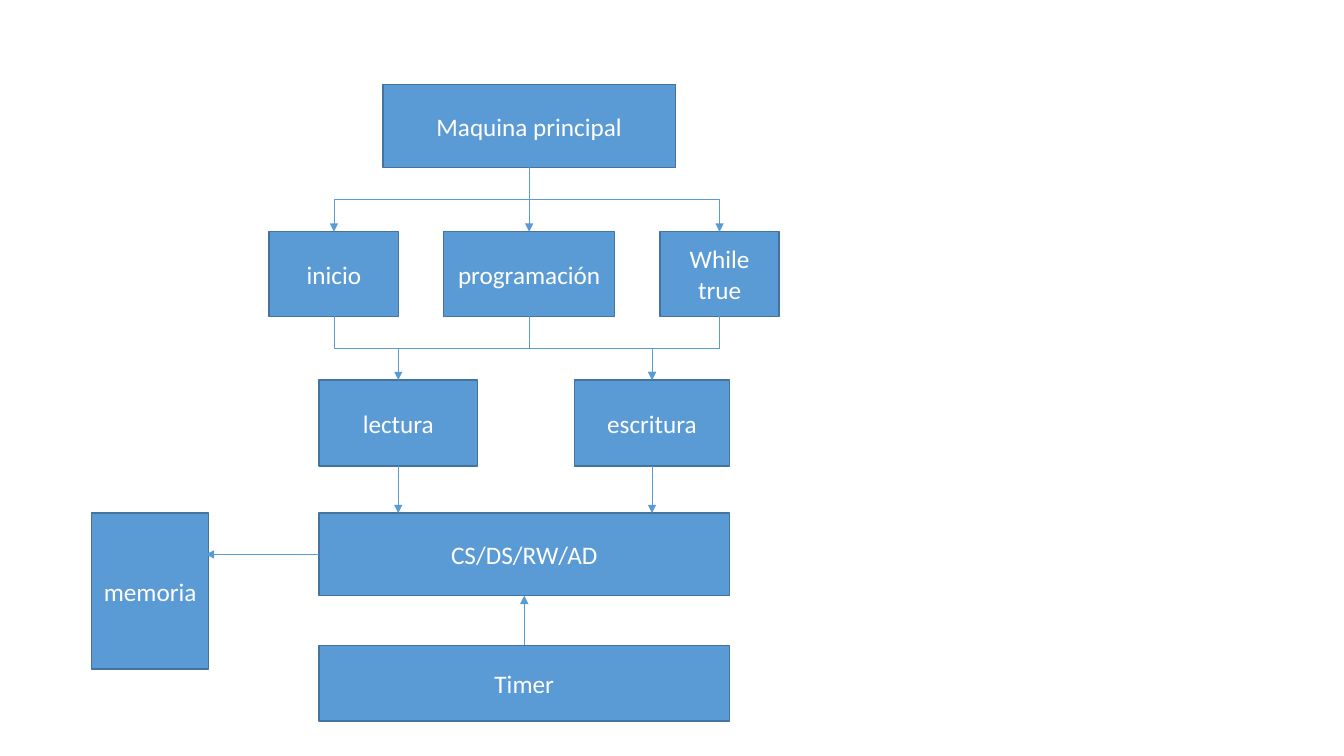
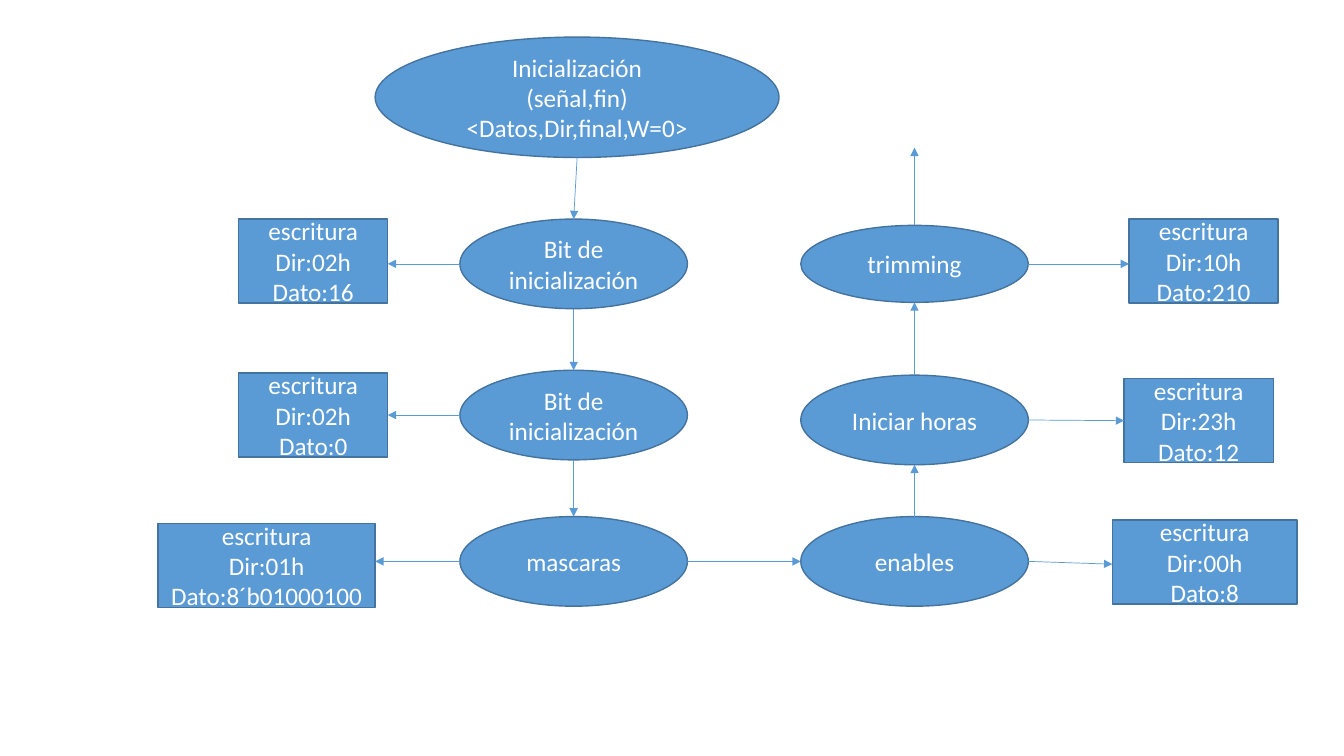
from dataclasses import dataclass
from enum import IntEnum

from lxml.etree import SubElement as add_node
from pptx import Presentation
from pptx.dml.color import RGBColor as Color
from pptx.enum.shapes import MSO_CONNECTOR as Wire, MSO_SHAPE as Form
from pptx.enum.text import MSO_ANCHOR as Anchor, PP_ALIGN as Align
from pptx.oxml.ns import qn
from pptx.util import Pt


@dataclass(frozen=True)
class Theme:
    fill: Color = Color(0x5B, 0x9B, 0xD5)
    edge: Color = Color(0x43, 0x73, 0x9E)
    ink: Color = Color(0xFF, 0xFF, 0xFF)
    font: str = "Calibri"
    size: float = 18
    rim: float = 1
    wire: float = 0.5


class Side(IntEnum):
    TOP = 0
    LEFT = 1
    BOTTOM = 2
    RIGHT = 3


@dataclass
class Spot:
    x: int
    y: int
    shape: object = None
    side: int = 0


def spot(shape, side, x=None, y=None):
    left, top = shape.left, shape.top
    mid_x, mid_y = left + shape.width // 2, top + shape.height // 2
    place = {
        Side.TOP: (mid_x, top),
        Side.LEFT: (left, mid_y),
        Side.BOTTOM: (mid_x, top + shape.height),
        Side.RIGHT: (left + shape.width, mid_y),
    }[side]
    if x is not None or y is not None:
        return Spot(place[0] if x is None else x, place[1] if y is None else y)
    joined = side == Side.TOP or shape.auto_shape_type == Form.RECTANGLE
    return Spot(*place, shape if joined else None, side)


def write(frame, text, *, font, size, color, align=Align.CENTER):
    frame.word_wrap = True
    frame.vertical_anchor = Anchor.MIDDLE
    for i, line in enumerate(text.split("\n")):
        para = frame.add_paragraph() if i else frame.paragraphs[0]
        para.alignment = align
        run = para.add_run()
        run.text = line
        run.font.name, run.font.size = font, Pt(size)
        run.font.color.rgb = color


class Deck:
    def __init__(self, theme):
        self.theme = theme
        self.show = Presentation()
        self.show.slide_width, self.show.slide_height = Pt(960), Pt(540)
        self.slide = None

    def page(self):
        self.slide = self.show.slides.add_slide(self.show.slide_layouts[6])

    def node(self, text, x, y, w, h, form=Form.RECTANGLE):
        theme = self.theme
        shape = self.slide.shapes.add_shape(form, Pt(x), Pt(y), Pt(w), Pt(h))
        shape.shadow.inherit = False
        shape.fill.solid()
        shape.fill.fore_color.rgb = theme.fill
        shape.line.color.rgb = theme.edge
        shape.line.width = Pt(theme.rim)
        write(shape.text_frame, text, font=theme.font, size=theme.size, color=theme.ink)
        return shape

    def oval(self, text, x, y, w, h):
        return self.node(text, x, y, w, h, Form.OVAL)

    def link(self, start, end, bent=False):
        kind = Wire.ELBOW if bent else Wire.STRAIGHT
        line = self.slide.shapes.add_connector(kind, start.x, start.y, end.x, end.y)
        if start.shape is not None:
            line.begin_connect(start.shape, start.side)
        if end.shape is not None:
            line.end_connect(end.shape, end.side)
        if bent:
            self.turn(line, start, end)
        line.line.color.rgb = self.theme.fill
        line.line.width = Pt(self.theme.wire)
        props = line.element.spPr
        add_node(props.find(qn("a:ln")), qn("a:tailEnd"), type="triangle")
        add_node(props, qn("a:effectLst"))

    def turn(self, line, start, end):
        wide, high = abs(end.x - start.x), abs(end.y - start.y)
        line.left = (start.x + end.x - high) // 2
        line.top = (start.y + end.y - wide) // 2
        line.width, line.height = high, wide
        right = end.x > start.x
        frame = line.element.spPr.find(qn("a:xfrm"))
        frame.set("rot", str((270 if right else 90) * 60000))
        frame.set("flipH", "1" if right else "0")


def draw_tree(deck):
    deck.page()
    root = deck.node("Maquina principal", 273.5, 60.5, 209, 59)
    start, program, loop = [
        deck.node(text, x, 165.5, w, 60.5)
        for text, x, w in (
            ("inicio", 192.25, 92.5),
            ("programación", 317, 122),
            ("While true", 471.5, 85),
        )
    ]
    read, store = [
        deck.node(text, x, 271.5, w, 61.5)
        for text, x, w in (("lectura", 228, 113), ("escritura", 410.5, 110.5))
    ]
    bus = deck.node("CS/DS/RW/AD", 228, 366.5, 293, 59)
    timer = deck.node("Timer", 228, 461, 293, 54)
    bank = deck.node("memoria", 65.5, 366.5, 83.5, 111.5)

    for top, low, bent in (
        (root, program, False),
        (root, loop, True),
        (root, start, True),
        (start, store, True),
        (program, read, True),
        (loop, store, True),
    ):
        deck.link(spot(top, Side.BOTTOM), spot(low, Side.TOP), bent)
    for box in (read, store):
        tip = spot(box, Side.BOTTOM)
        deck.link(tip, spot(bus, Side.TOP, x=tip.x))
    deck.link(spot(timer, Side.TOP), spot(bus, Side.BOTTOM))
    out = spot(bus, Side.LEFT)
    deck.link(out, spot(bank, Side.RIGHT, x=Pt(147), y=out.y))


def draw_flow(deck):
    deck.page()
    head = deck.oval("Inicialización\n(señal,fin)\n<Datos,Dir,final,W=0>", 268, 26.5, 288.5, 86)
    first, again, masks = [
        deck.oval(text, 328.5, y, 162.5, 64)
        for text, y in (
            ("Bit de inicialización", 156.5),
            ("Bit de inicialización", 264.5),
            ("mascaras", 369),
        )
    ]
    able, hours, trim = [
        deck.oval(text, 572, y, 162.5, h)
        for text, y, h in (("enables", 369, 64), ("Iniciar horas", 268, 64), ("trimming", 161, 55))
    ]

    for top, low in ((head, first), (first, again), (again, masks)):
        deck.link(spot(top, Side.BOTTOM), spot(low, Side.TOP))
    deck.link(spot(masks, Side.RIGHT), spot(able, Side.LEFT))
    for low, top in ((able, hours), (hours, trim)):
        deck.link(spot(low, Side.TOP), spot(top, Side.BOTTOM))
    peak = spot(trim, Side.TOP)
    deck.link(peak, Spot(peak.x, Pt(105.5)))

    for state, side, code, data, x, y, w, tip in (
        (first, Side.LEFT, "02h", "16", 170.5, 156.5, 106.5, 188.5),
        (again, Side.LEFT, "02h", "0", 170.5, 266.5, 106.5, None),
        (masks, Side.LEFT, "01h", "8´b01000100", 113, 374, 155, 401),
        (able, Side.RIGHT, "00h", "8", 794.5, 371.5, 132, 403),
        (hours, Side.RIGHT, "23h", "12", 803, 270.5, 106.5, None),
        (trim, Side.RIGHT, "10h", "210", 806.5, 156.5, 106.5, 188.5),
    ):
        box = deck.node(f"escritura\nDir:{code}\nDato:{data}", x, y, w, 60)
        facing = Side.RIGHT if side == Side.LEFT else Side.LEFT
        goal = spot(box, facing, y=None if tip is None else Pt(tip))
        deck.link(spot(state, side), goal)


def main():
    deck = Deck(Theme())
    draw_tree(deck)
    draw_flow(deck)
    deck.show.save("out.pptx")


if __name__ == "__main__":
    main()
